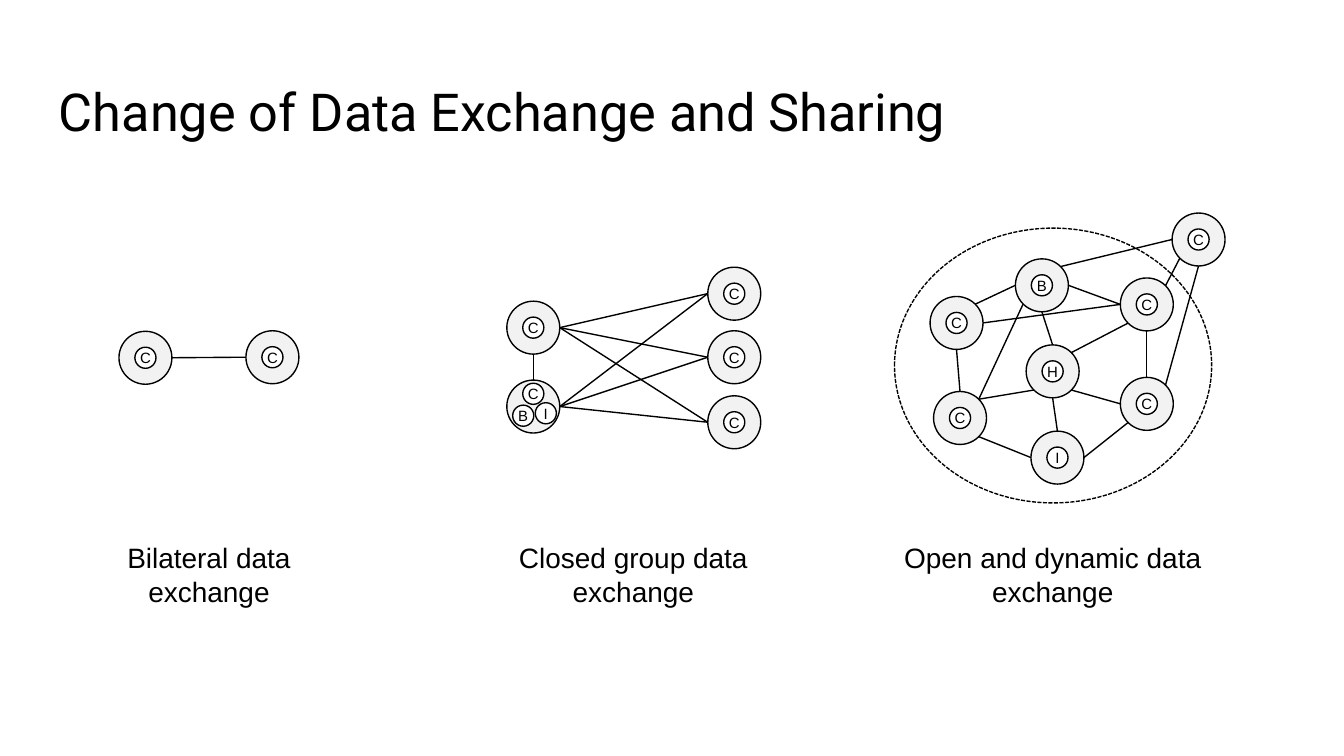
from math import cos, radians, sin
from typing import NamedTuple

from pptx import Presentation
from pptx import util as u
from pptx.dml.color import RGBColor
from pptx.enum import dml, shapes, text
from pptx.oxml.ns import qn
from lxml import etree

CELL = 0.1
COLUMNS, ROWS = 100, 56.25
NODE, BADGE = 3.94, 1.57
COLORS = {"ink": "000000", "node": "F2F2F2", "paper": "FFFFFF"}
ANGLES = {"E": 0, "SE": 45, "S": 90, "SW": 135, "W": 180, "NW": 225, "N": 270, "NE": 315}


class Badge(NamedTuple):
    letter: str
    dx: float = 0
    dy: float = 0


class Node(NamedTuple):
    column: float
    row: float
    badges: tuple[Badge, ...] = (Badge("C"),)


class Link(NamedTuple):
    start: str
    start_side: str
    end: str
    end_side: str


class Label(NamedTuple):
    words: str
    column: float
    row: float
    width: float
    height: float


TITLE = Label("Change of Data Exchange and Sharing", 3.41, 4.87, 93.18, 6.26)
CAPTIONS = [
    Label("Bilateral data exchange", 6.9, 39.75, 17.3, 6.1),
    Label("Closed group data exchange", 35.33, 39.75, 23.6, 6.1),
    Label("Open and dynamic data exchange", 65.03, 39.75, 26.6, 6.1),
]

BILATERAL = {"left": Node(10.82, 26.62), "right": Node(20.27, 26.58)}
BILATERAL_LINKS = [Link("left", "E", "right", "W")]

MEMBERS = {f"member {i}": Node(54.63, row) for i, row in enumerate((21.85, 26.58, 31.42))}
HUBS = {
    "single": Node(39.68, 24.38),
    "combined": Node(
        39.68, 30.25, (Badge("C", 0, -0.95), Badge("B", -0.75, 0.68), Badge("I", 0.93, 0.5))
    ),
}
CLOSED = HUBS | MEMBERS
CLOSED_LINKS = [Link(hub, "E", member, "W") for hub in HUBS for member in MEMBERS]
CLOSED_LINKS.append(Link("single", "S", "combined", "N"))

OPEN = {
    "northeast": Node(85.33, 22.65),
    "broker": Node(77.52, 21.23, (Badge("B"),)),
    "issuer": Node(78.68, 34.05, (Badge("I"),)),
    "northwest": Node(71.17, 24.03),
    "southeast": Node(85.33, 30.05),
    "hub": Node(78.32, 27.63, (Badge("H"),)),
    "southwest": Node(71.43, 31.1),
    "outside": Node(89.18, 17.82),
}
OPEN_LINKS = [
    Link("northwest", "NE", "broker", "W"),
    Link("broker", "S", "hub", "N"),
    Link("hub", "NE", "northeast", "SW"),
    Link("outside", "W", "broker", "NE"),
    Link("outside", "SW", "northeast", "NE"),
    Link("northeast", "S", "southeast", "N"),
    Link("hub", "SE", "southeast", "W"),
    Link("hub", "SW", "southwest", "NE"),
    Link("northwest", "S", "southwest", "N"),
    Link("issuer", "W", "southwest", "SE"),
    Link("southeast", "SW", "issuer", "E"),
    Link("hub", "S", "issuer", "N"),
    Link("broker", "SW", "southwest", "NE"),
    Link("broker", "E", "northeast", "W"),
    Link("northeast", "W", "northwest", "E"),
    Link("outside", "S", "southeast", "NE"),
]


def grid(cells: float) -> int:
    return u.Inches(cells * CELL)


def color(name: str) -> RGBColor:
    return RGBColor.from_string(COLORS[name])


def apply(target, values: dict) -> None:
    for name, value in values.items():
        setattr(target, name, value)


def write(frame, words: str, font: str, size: float, align, frame_format: dict) -> None:
    apply(frame, frame_format)
    para = frame.paragraphs[0]
    para.alignment = align
    span = para.add_run()
    span.text = words
    apply(span.font, {"name": font, "size": u.Pt(size)})
    span.font.color.rgb = color("ink")


def draw_label(page, label: Label, font: str, size: float, align, inset: float) -> None:
    box = page.shapes.add_textbox(*map(grid, label[1:]))
    margins = {"margin_top": grid(inset), "margin_bottom": grid(inset)}
    write(box.text_frame, label.words, font, size, align, {"word_wrap": True} | margins)


def draw_ellipse(page, column: float, row: float, width: float, height: float, fill: str):
    ellipse = page.shapes.add_shape(
        shapes.MSO_SHAPE.OVAL,
        grid(column - width / 2), grid(row - height / 2), grid(width), grid(height),
    )
    ellipse.shadow.inherit = False
    ellipse.fill.solid()
    ellipse.fill.fore_color.rgb = color(fill)
    ellipse.line.color.rgb = color("ink")
    ellipse.line.width = u.Pt(0.75)
    return ellipse


def draw_node(page, node: Node) -> None:
    draw_ellipse(page, node.column, node.row, NODE, NODE, "node")
    margins = {f"margin_{side}": 0 for side in ("left", "right", "top", "bottom")}
    frame_format = margins | {"word_wrap": False, "vertical_anchor": text.MSO_ANCHOR.MIDDLE}
    for badge in node.badges:
        circle = draw_ellipse(
            page, node.column + badge.dx, node.row + badge.dy, BADGE, BADGE, "paper"
        )
        write(circle.text_frame, badge.letter, "Arial", 8, text.PP_ALIGN.CENTER, frame_format)


def rim_point(node: Node, side: str) -> tuple[int, int]:
    angle = radians(ANGLES[side])
    return grid(node.column + NODE / 2 * cos(angle)), grid(node.row + NODE / 2 * sin(angle))


def draw_link(page, nodes: dict[str, Node], link: Link) -> None:
    line = page.shapes.add_connector(
        shapes.MSO_CONNECTOR.STRAIGHT,
        *rim_point(nodes[link.start], link.start_side),
        *rim_point(nodes[link.end], link.end_side),
    )
    line.line.color.rgb = color("ink")
    line.line.width = u.Pt(0.75)
    etree.SubElement(line._element.spPr, qn("a:effectLst"))


def draw_network(page, nodes: dict[str, Node], links: list[Link]) -> None:
    for node in nodes.values():
        draw_node(page, node)
    for link in links:
        draw_link(page, nodes, link)


def main() -> None:
    deck = Presentation()
    apply(deck, {"slide_width": grid(COLUMNS), "slide_height": grid(ROWS)})
    page = deck.slides.add_slide(deck.slide_layouts[6])
    draw_label(page, TITLE, "Roboto", 28, text.PP_ALIGN.LEFT, 1)
    for caption in CAPTIONS:
        draw_label(page, caption, "Arial", 15, text.PP_ALIGN.CENTER, 0.5)
    draw_network(page, BILATERAL, BILATERAL_LINKS)
    draw_network(page, CLOSED, CLOSED_LINKS)
    boundary = draw_ellipse(page, 78.36, 27.2, 23.6, 20.45, "paper")
    boundary.line.dash_style = dml.MSO_LINE.SQUARE_DOT
    draw_network(page, OPEN, OPEN_LINKS)
    deck.save("out.pptx")


if __name__ == "__main__":
    main()
